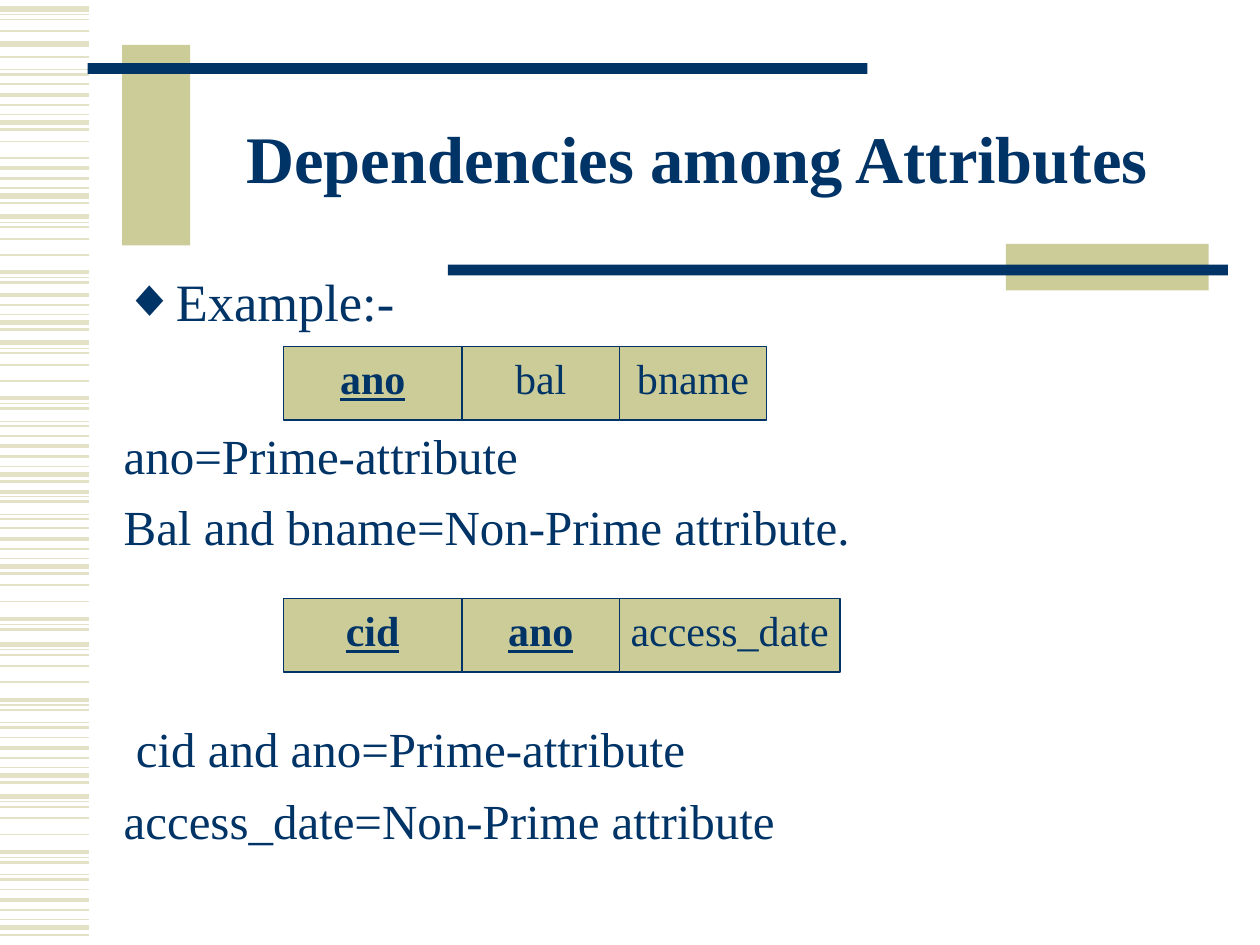
"""Build the slide on dependencies among attributes."""
from dataclasses import dataclass
from typing import NamedTuple

from lxml import etree
from pptx import Presentation
from pptx.dml import color
from pptx.enum import shapes, text
from pptx.oxml import ns
from pptx.util import Pt


@dataclass(frozen=True)
class Theme:
    font: str = "Times New Roman"
    navy: str = "003366"
    khaki: str = "CCCC99"
    stripe: str = "E3E2C7"
    title_size: float = 38
    lead_size: float = 30
    body_size: float = 28
    cell_size: float = 24


class Stripe(NamedTuple):
    offset: float
    weight: float


class Band(NamedTuple):
    top: float
    stripes: tuple[Stripe, ...]


class Block(NamedTuple):
    left: float
    top: float
    width: float
    height: float
    fill: str


class Cell(NamedTuple):
    label: str
    width: float
    key: bool = False


class Relation(NamedTuple):
    top: float
    cells: tuple[Cell, ...]


class Line(NamedTuple):
    words: str
    size: float
    before: float = 0
    bullet: str = ""


THEME = Theme()
STRIPE_WIDTH = 51.1
RELATION_LEFT = 162
CELL_HEIGHT = 42
BODY_INDENT = 27.4

SHORT = (Stripe(0, 1), Stripe(6, 2.25), Stripe(11.8, 1.5),
         Stripe(17.3, 0.75), Stripe(21.9, 3), Stripe(25.9, 1.5))
LONG = (Stripe(0, 3), Stripe(3.2, 0.75), Stripe(6, 1), Stripe(12.6, 1),
        Stripe(21.8, 1), Stripe(31.9, 2.25), Stripe(34.8, 0.75),
        Stripe(37.7, 1.5), Stripe(44.9, 0.75), Stripe(47.7, 1.5))
BANDS = (
    *(Band(top, SHORT) for top in (48.2, 90.1, 249.1, 301.9, 421.4, 508.3)),
    *(Band(top, LONG) for top in (195.8, 368.1, 455)),
    Band(3.3, SHORT[4:5]), Band(162.5, SHORT[1:]),
    Band(5.2, LONG[:4]), Band(-5.2, LONG[7:]), Band(59, LONG[4:5]),
    Band(123.8, LONG[:8]), Band(249, LONG[5:]), Band(321.9, LONG[3:8]),
)
BLOCKS = (
    Block(69.8, 25.7, 38.9, 114.5, THEME.khaki),
    Block(50, 36, 445.7, 6.2, THEME.navy),
    Block(574.8, 139.4, 115.9, 26.6, THEME.khaki),
    Block(256, 151.2, 445.7, 6.2, THEME.navy),
)
RELATIONS = (
    Relation(198, (Cell("ano", 102, True), Cell("bal", 90), Cell("bname", 84))),
    Relation(342, (Cell("cid", 102, True), Cell("ano", 90, True),
                   Cell("access_date", 126))),
)
LINES = (
    Line("Example:-", THEME.lead_size, bullet="◆"),
    Line("ano=Prime-attribute", THEME.body_size, 53.1),
    Line("Bal and bname=Non-Prime attribute.", THEME.body_size, 7.2),
    Line(" cid and ano=Prime-attribute", THEME.body_size, 93.2),
    Line("access_date=Non-Prime attribute", THEME.body_size, 7.2),
)


def rgb(value: str) -> color.RGBColor:
    """Turn a hex string into a colour."""
    return color.RGBColor.from_string(value)


def write(para, words: str, *, size: float, bold: bool = False,
          underline: bool = False, align=text.PP_ALIGN.LEFT,
          before: float = 0, spacing: float = 1) -> None:
    """Put formatted words into a paragraph."""
    para.alignment = align
    para.space_before = Pt(before)
    para.line_spacing = spacing
    span = para.add_run()
    span.text = words
    span.font.name = THEME.font
    span.font.size = Pt(size)
    span.font.bold = bold
    span.font.underline = underline
    span.font.color.rgb = rgb(THEME.navy)


def draw_band(page, band: Band) -> None:
    """Draw the thin margin stripes of one band."""
    for stripe in band.stripes:
        height = Pt(band.top + stripe.offset)
        rule = page.shapes.add_connector(
            shapes.MSO_CONNECTOR.STRAIGHT, 0, height, Pt(STRIPE_WIDTH), height)
        rule.line.width = Pt(stripe.weight)
        rule.line.color.rgb = rgb(THEME.stripe)
        etree.SubElement(rule._element.spPr, ns.qn("a:effectLst"))


def draw_block(page, block: Block):
    """Draw a plain filled rectangle."""
    box = page.shapes.add_shape(
        shapes.MSO_SHAPE.RECTANGLE, Pt(block.left), Pt(block.top),
        Pt(block.width), Pt(block.height))
    box.shadow.inherit = False
    box.fill.solid()
    box.fill.fore_color.rgb = rgb(block.fill)
    box.line.fill.background()
    return box


def draw_relation(page, relation: Relation) -> None:
    """Draw the attributes of a relation as adjoining boxes."""
    left = RELATION_LEFT
    for cell in relation.cells:
        box = draw_block(page, Block(left, relation.top, cell.width,
                                     CELL_HEIGHT, THEME.khaki))
        box.line.color.rgb = rgb(THEME.navy)
        box.line.width = Pt(0.75)
        box.text_frame.word_wrap = False
        box.text_frame.vertical_anchor = text.MSO_ANCHOR.TOP
        write(box.text_frame.paragraphs[0], cell.label, size=THEME.cell_size,
              bold=cell.key, underline=cell.key, align=text.PP_ALIGN.CENTER)
        left += cell.width


def draw_title(page, words: str) -> None:
    """Place and format the title placeholder."""
    title = page.shapes.title
    title.left, title.top, title.width, title.height = map(Pt, (108, 48, 581, 90))
    title.text_frame.vertical_anchor = text.MSO_ANCHOR.MIDDLE
    write(title.text_frame.paragraphs[0], words, size=THEME.title_size,
          bold=True, align=text.PP_ALIGN.CENTER, spacing=0.85)


def add_bullet(para, symbol: str) -> None:
    """Give a paragraph a hanging bullet."""
    props = para._p.get_or_add_pPr()
    props.set("marL", str(Pt(BODY_INDENT)))
    props.set("indent", str(-Pt(BODY_INDENT)))
    tint = etree.SubElement(props, ns.qn("a:buClr"))
    etree.SubElement(tint, ns.qn("a:srgbClr"), val=THEME.navy)
    etree.SubElement(props, ns.qn("a:buFont"), typeface=THEME.font)
    etree.SubElement(props, ns.qn("a:buChar"), char=symbol)


def draw_body(page, lines: tuple[Line, ...]) -> None:
    """Write the body lines into one text box."""
    box = page.shapes.add_textbox(Pt(63.6), Pt(149.8), Pt(626.4), Pt(354.2))
    frame = box.text_frame
    frame.word_wrap = True
    frame.margin_top = Pt(4.1)
    for index, line in enumerate(lines):
        para = frame.add_paragraph() if index else frame.paragraphs[0]
        if line.bullet:
            add_bullet(para, line.bullet)
        write(para, line.words, size=line.size, before=line.before)


def main() -> None:
    """Build and save the deck."""
    deck = Presentation()
    deck.slide_width, deck.slide_height = Pt(720), Pt(540)
    page = deck.slides.add_slide(deck.slide_layouts[5])
    for band in BANDS:
        draw_band(page, band)
    for block in BLOCKS:
        draw_block(page, block)
    draw_title(page, "Dependencies among Attributes")
    draw_body(page, LINES)
    for relation in RELATIONS:
        draw_relation(page, relation)
    deck.save("out.pptx")


if __name__ == "__main__":
    main()
